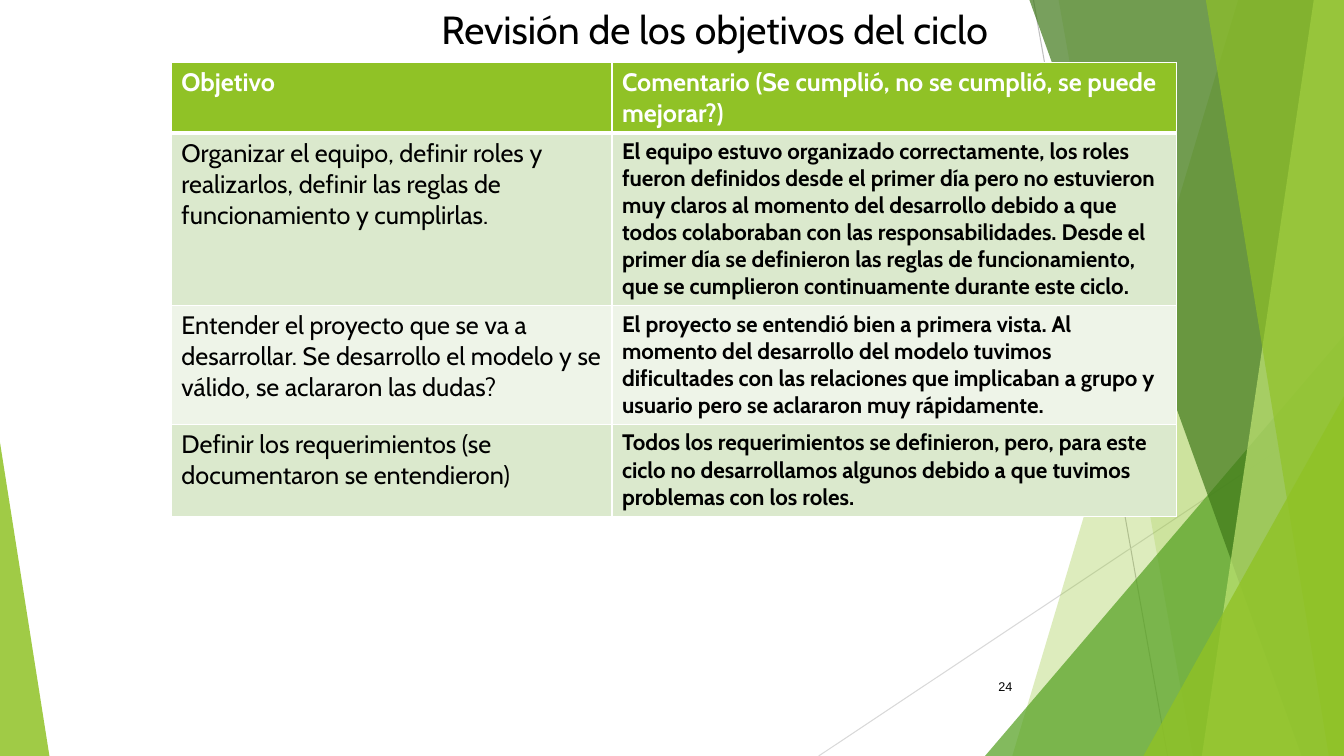
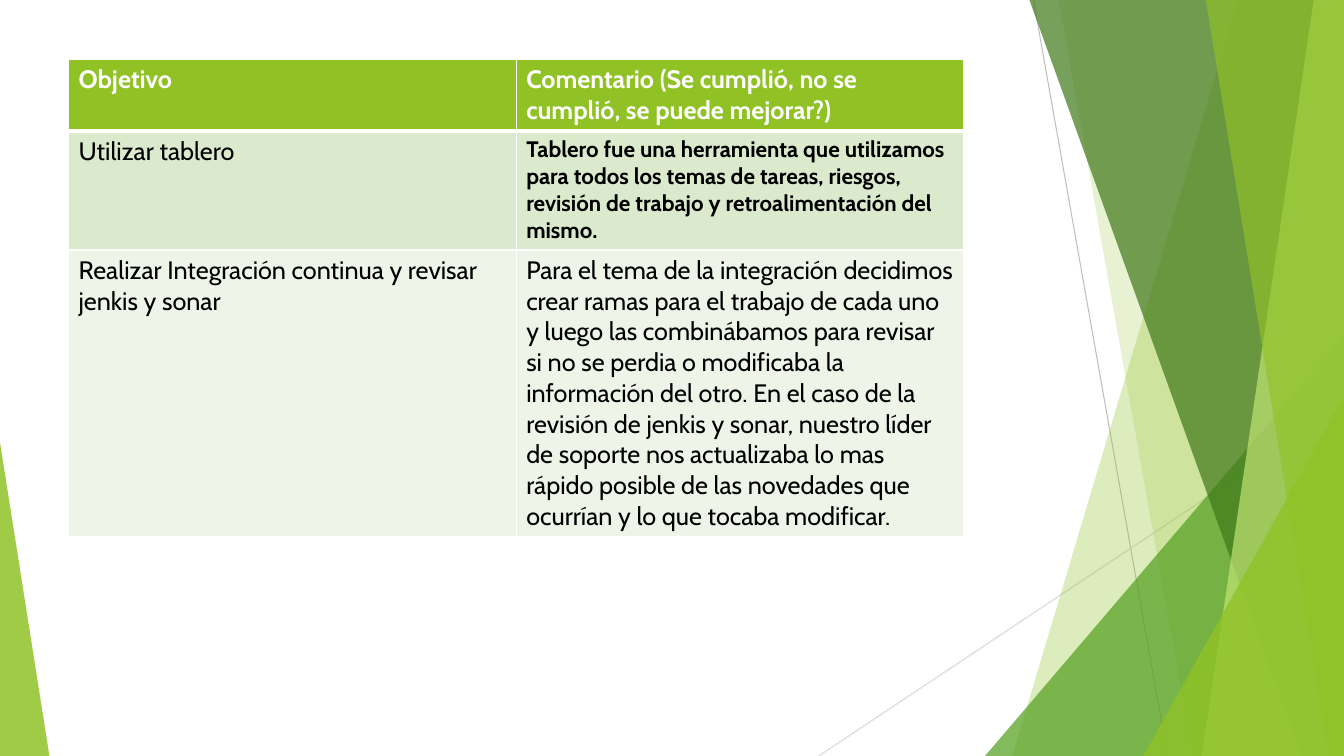
from lxml.etree import SubElement
from pptx import Presentation
from pptx.dml.color import RGBColor
from pptx.enum.shapes import MSO_CONNECTOR, MSO_SHAPE
from pptx.enum.text import MSO_ANCHOR, PP_ALIGN
from pptx.oxml.ns import qn
from pptx.util import Inches, Pt

WHITE = RGBColor(0xFF, 0xFF, 0xFF)
BLACK = RGBColor(0x00, 0x00, 0x00)
GRAY = RGBColor(0xBF, 0xBF, 0xBF)
PALE = RGBColor(0xD9, 0xD9, 0xD9)
LIME = RGBColor(0x90, 0xC2, 0x26)
GREEN = RGBColor(0x54, 0xA0, 0x21)
DARK = RGBColor(0x3F, 0x78, 0x19)
LIGHT = RGBColor(0xC0, 0xE4, 0x74)
BANDS = [RGBColor(0xDB, 0xE9, 0xCD), RGBColor(0xEE, 0xF4, 0xE8)]
WIDE, HIGH = 13.33, 7.5

HEAD = {"name": "Cabin", "size": Pt(18), "bold": True}
BODY = {"name": "Cabin", "size": Pt(18), "bold": False}
NOTE = {"name": "Cabin", "size": Pt(16), "bold": True}
TITLE = {"name": "Cabin", "size": Pt(28)}
PAGE = {"name": "Arial", "size": Pt(9)}

LINES = [((10.25, 0), (11.58, HIGH), GRAY), ((WIDE, 4.03), (8.12, HIGH), PALE)]
SHARDS = [
    ("band", (12.28, 10.04), LIME, 30),
    ("band", (10.5, 11.83), LIME, 20),
    ("wedge", (9.77, 3.33, 3.56, 1), GREEN, 72),
    ("band", (10.21, 12.91), DARK, 70),
    ("band", (13.03, 11.92), LIGHT, 70),
    ("band", (11.96, 13.18), LIME, 65),
    ("wedge", (11.34, 3.93, 1.99, 1), LIME, 80),
    ("wedge", (0, 4.39, 0.49, 0), LIME, 85),
]

HEADER = ("Objetivo", "Comentario (Se cumplió, no se cumplió, se puede mejorar?)")
SLIDES = [
    {
        "title": "Revisión de los objetivos del ciclo",
        "page": "24",
        "at": (1.7, 0.62),
        "cols": (4.37, 5.6),
        "rows": (0.69, 1.71, 1.18, 0.91),
        "goals": [
            ("Organizar el equipo, definir roles y realizarlos, definir las reglas de "
             "funcionamiento y cumplirlas.",
             "El equipo estuvo organizado correctamente, los roles fueron definidos desde "
             "el primer día pero no estuvieron muy claros al momento del desarrollo debido "
             "a que todos colaboraban con las responsabilidades. Desde el primer día se "
             "definieron las reglas de funcionamiento, que se cumplieron continuamente "
             "durante este ciclo.", NOTE),
            ("Entender el proyecto que se va a desarrollar. Se desarrollo el modelo y se "
             "válido, se aclararon las dudas?",
             "El proyecto se entendió bien a primera vista. Al momento del desarrollo del "
             "modelo tuvimos dificultades con las relaciones que implicaban a grupo y "
             "usuario pero se aclararon muy rápidamente.", NOTE),
            ("Definir los requerimientos (se documentaron se entendieron)",
             "Todos los requerimientos se definieron, pero, para este ciclo no "
             "desarrollamos algunos debido a que tuvimos problemas con los roles.", NOTE),
        ],
    },
    {
        "at": (0.68, 0.59),
        "cols": (4.44, 4.44),
        "rows": (0.69, 1.18, 2.84),
        "goals": [
            ("Utilizar tablero",
             "Tablero fue una herramienta que utilizamos para todos los temas de tareas, "
             "riesgos, revisión de trabajo y retroalimentación del mismo.", NOTE),
            ("Realizar Integración continua y revisar jenkis y sonar",
             "Para el tema de la integración decidimos crear ramas para el trabajo de cada "
             "uno y luego las combinábamos para revisar si no se perdia o modificaba la "
             "información del otro. En el caso de la revisión de jenkis y sonar, nuestro "
             "líder de soporte nos actualizaba lo mas rápido posible de las novedades que "
             "ocurrían y lo que tocaba modificar.", BODY),
        ],
    },
]


def style(font, form, color):
    for key, value in form.items():
        setattr(font, key, value)
    font.color.rgb = color


def draw_line(shapes, start, end, color):
    line = shapes.add_connector(MSO_CONNECTOR.STRAIGHT, *map(Inches, start + end))
    line.line.color.rgb = color
    line.line.width = Pt(0.75)
    SubElement(line._element.spPr, qn("a:effectLst"))


def draw_band(shapes, top, base):
    pen = shapes.build_freeform(Inches(top), 0)
    points = [(WIDE, 0), (WIDE, HIGH), (base, HIGH)]
    pen.add_line_segments([(Inches(x), Inches(y)) for x, y in points], close=True)
    return pen.convert_to_shape()


def draw_wedge(shapes, left, top, width, peak):
    box = map(Inches, (left, top, width, HIGH - top))
    wedge = shapes.add_shape(MSO_SHAPE.ISOSCELES_TRIANGLE, *box)
    wedge.adjustments[0] = peak
    return wedge


def draw_back(shapes):
    for line in LINES:
        draw_line(shapes, *line)
    tools = {"band": draw_band, "wedge": draw_wedge}
    for kind, place, color, alpha in SHARDS:
        shard = tools[kind](shapes, *place)
        shard.shadow.inherit = False
        shard.line.fill.background()
        shard.fill.solid()
        shard.fill.fore_color.rgb = color
        tint = shard._element.spPr.find(qn("a:solidFill"))[0]
        SubElement(tint, qn("a:alpha"), val=str(alpha * 1000))


def add_text(shapes, box, text, form, align, anchor):
    frame = shapes.add_textbox(*map(Inches, box)).text_frame
    frame.word_wrap = True
    frame.vertical_anchor = anchor
    para = frame.paragraphs[0]
    para.text = text
    para.alignment = align
    style(para.font, form, BLACK)


def add_edges(cell, row):
    thick = {0: "lnB", 1: "lnT"}.get(row)
    for side in ("lnL", "lnR", "lnT", "lnB"):
        width = Pt(3 if side == thick else 1)
        edge = SubElement(cell._tc.get_or_add_tcPr(), qn("a:" + side), w=str(width))
        fill = SubElement(edge, qn("a:solidFill"))
        SubElement(fill, qn("a:srgbClr"), val=str(WHITE))


def fill_cell(cell, row, text, form):
    cell.text = text
    style(cell.text_frame.paragraphs[0].runs[0].font, form, BLACK if row else WHITE)
    add_edges(cell, row)
    cell.fill.solid()
    cell.fill.fore_color.rgb = BANDS[(row - 1) % 2] if row else LIME


def draw_grid(shapes, data):
    cols, rows = data["cols"], data["rows"]
    box = map(Inches, data["at"] + (sum(cols), sum(rows)))
    grid = shapes.add_table(len(rows), len(cols), *box).table
    for col, width in zip(grid.columns, cols):
        col.width = Inches(width)
    for row, height in zip(grid.rows, rows):
        row.height = Inches(height)
    cells = [[(text, HEAD) for text in HEADER]]
    cells += [[(goal, BODY), (note, form)] for goal, note, form in data["goals"]]
    for r, line in enumerate(cells):
        for c, (text, form) in enumerate(line):
            fill_cell(grid.cell(r, c), r, text, form)


def main():
    deck = Presentation()
    deck.slide_width, deck.slide_height = Inches(WIDE), Inches(HIGH)
    for data in SLIDES:
        shapes = deck.slides.add_slide(deck.slide_layouts[6]).shapes
        draw_back(shapes)
        if "page" in data:
            add_text(shapes, (9.39, 6.61, 0.75, 0.4), data["page"], PAGE,
                     PP_ALIGN.RIGHT, MSO_ANCHOR.MIDDLE)
        draw_grid(shapes, data)
        if "title" in data:
            add_text(shapes, (4.28, 0, 6.13, 0.57), data["title"], TITLE,
                     PP_ALIGN.LEFT, MSO_ANCHOR.TOP)
    deck.save("out.pptx")


if __name__ == "__main__":
    main()
